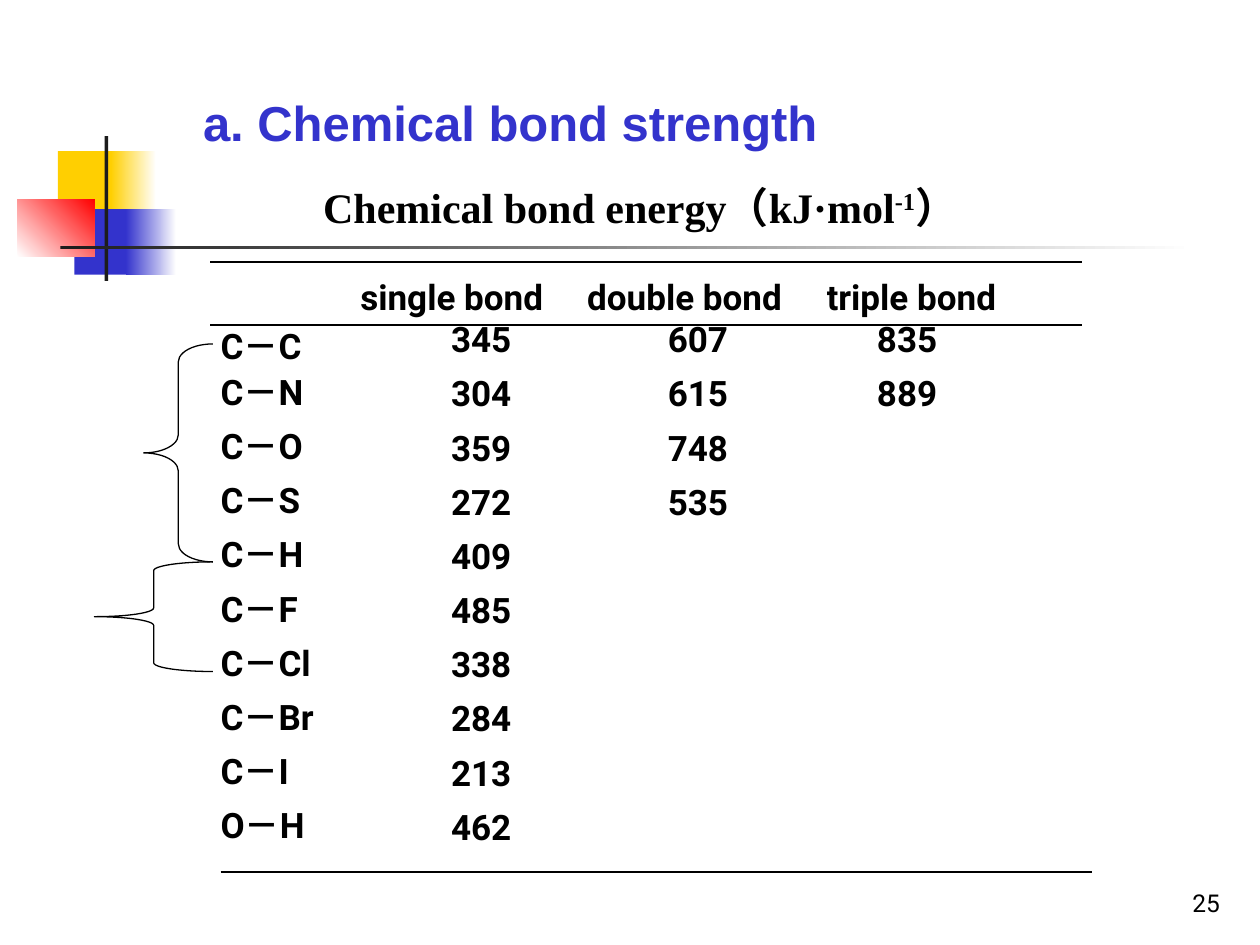
from dataclasses import dataclass
from typing import Optional

from lxml.etree import SubElement
from pptx import Presentation
from pptx.dml.color import RGBColor
from pptx.enum.shapes import MSO_CONNECTOR as Conn, MSO_SHAPE as Shape
from pptx.enum.text import MSO_ANCHOR as Anchor, PP_ALIGN as Align
from pptx.oxml.ns import qn
from pptx.util import Inches, Pt


@dataclass(frozen=True)
class Theme:
    black: str = "000000"
    dark: str = "1C1C1C"
    white: str = "FFFFFF"
    gold: str = "FFCF01"
    blue: str = "3333CC"
    red: str = "FF0000"
    title: int = 28
    head: int = 24
    body: int = 20
    page: int = 14


T = Theme()


@dataclass(frozen=True)
class Block:
    box: tuple
    color: str
    fade: Optional[str] = None
    angle: int = 0


@dataclass(frozen=True)
class Label:
    box: tuple
    runs: tuple
    font: dict
    align: Align = Align.CENTER
    anchor: Anchor = Anchor.TOP


@dataclass(frozen=True)
class Rule:
    left: float
    top: float
    width: float = 6.92


@dataclass(frozen=True)
class Brace:
    box: tuple
    curve: float


BLOCKS = (
    Block((0.46, 1.2, 0.48, 0.52), T.gold),
    Block((0.88, 1.2, 0.36, 0.52), T.gold, T.white),
    Block((0.59, 1.66, 0.46, 0.52), T.blue),
    Block((1, 1.66, 0.4, 0.52), T.blue, T.white),
    Block((0.14, 1.58, 0.61, 0.46), T.white, T.red, 45),
    Block((0.83, 1.08, 0.03, 1.15), T.dark),
    Block((0.48, 1.95, 9, 0.03), T.dark, T.white),
)

BODY = dict(name="Roboto", size=T.body, bold=True, color=T.black)

# Each run is its text and its baseline shift in percent.
LABELS = (
    Label((7.7, 6.83, 2.08, 0.5), (("25", 0),),
          dict(name="Roboto", size=T.page, bold=False, color=T.black),
          Align.RIGHT, Anchor.BOTTOM),
    Label((1.62, 1.39, 6.92, 0.5),
          (("Chemical bond energy（kJ·mol", 0), ("-1", 30), ("）", 0)),
          dict(name="Times New Roman", size=T.head, bold=True, color=T.black)),
    Label((1.12, 0.68, 5.86, 0.57), (("a. Chemical bond strength", 0),),
          dict(name="Arial", size=T.title, bold=True, color=T.blue),
          anchor=Anchor.MIDDLE),
)

RULES = Rule(1.67, 2.08), Rule(1.67, 2.58), Rule(1.75, 6.92)
BRACES = (Brace((1.14, 2.73, 0.55, 1.73), 0.26),
          Brace((0.75, 4.46, 0.94, 0.87), 0.08))

ROWS = (
    ("", "single bond", "double bond", "triple bond"),
    ("C－C", "345", "607", "835"),
    ("C－N", "304", "615", "889"),
    ("C－O", "359", "748"),
    ("C－S", "272", "535"),
    ("C－H", "409"),
    ("C－F", "485"),
    ("C－Cl", "338"),
    ("C－Br", "284"),
    ("C－I", "213"),
    ("O－H", "462"),
)
WIDTHS = 1.11, 1.8, 1.9, 2.02
INDENTS = 0, 0.72, 0.64, 0.4
TIGHT, LOOSE = 0.33, 0.43


def span(box: tuple) -> list:
    return [Inches(n) for n in box]


def style(font, form: dict) -> None:
    for key, val in form.items():
        if key == "color":
            font.color.rgb = RGBColor.from_string(val)
        else:
            setattr(font, key, Pt(val) if key == "size" else val)


def add_block(slide, item: Block) -> None:
    rect = slide.shapes.add_shape(Shape.RECTANGLE, *span(item.box))
    rect.shadow.inherit = False
    rect.line.fill.background()
    if item.fade is None:
        rect.fill.solid()
        rect.fill.fore_color.rgb = RGBColor.from_string(item.color)
        return
    rect.fill.gradient()
    rect.fill.gradient_angle = item.angle
    for stop, color in zip(rect.fill.gradient_stops, (item.color, item.fade)):
        stop.color.rgb = RGBColor.from_string(color)


def add_label(slide, item: Label) -> None:
    frame = slide.shapes.add_textbox(*span(item.box)).text_frame
    frame.word_wrap = True
    frame.vertical_anchor = item.anchor
    para = frame.paragraphs[0]
    para.alignment = item.align
    for text, shift in item.runs:
        run = para.add_run()
        run.text = text
        style(run.font, item.font)
        if shift:
            run.font._element.set("baseline", str(shift * 1000))


def add_grid(slide) -> None:
    """Add the table of bond energies, with values set in from their heads."""
    tall = [TIGHT, TIGHT] + [LOOSE] * (len(ROWS) - 2)
    box = (1.75, 2.2, sum(WIDTHS), sum(tall))
    grid = slide.shapes.add_table(len(ROWS), len(WIDTHS), *span(box)).table
    grid.first_row = grid.horz_banding = False
    for col, width in zip(grid.columns, WIDTHS):
        col.width = Inches(width)
    for r, (row, height) in enumerate(zip(ROWS, tall)):
        grid.rows[r].height = Inches(height)
        for c, indent in enumerate(INDENTS):
            cell = grid.cell(r, c)
            form = dict(margin_left=Inches(indent if r else 0), margin_right=0,
                        margin_top=0, margin_bottom=0,
                        vertical_anchor=Anchor.BOTTOM)
            for key, val in form.items():
                setattr(cell, key, val)
            cell.fill.background()
            cell.text = row[c] if c < len(row) else ""
            style(cell.text_frame.paragraphs[0].font, BODY)


def add_rule(slide, item: Rule) -> None:
    ends = (item.left, item.top, item.left + item.width, item.top)
    line = slide.shapes.add_connector(Conn.STRAIGHT, *span(ends))
    line.line.width = Pt(1)
    line.line.color.rgb = RGBColor.from_string(T.black)
    SubElement(line._element.spPr, qn("a:effectLst"))


def add_brace(slide, item: Brace) -> None:
    brace = slide.shapes.add_shape(Shape.LEFT_BRACE, *span(item.box))
    brace.adjustments[0] = item.curve
    brace.shadow.inherit = False
    brace.fill.background()
    brace.line.width = Pt(0.75)
    brace.line.color.rgb = RGBColor.from_string(T.black)


def main() -> None:
    deck = Presentation()
    deck.slide_width, deck.slide_height = Inches(10), Inches(7.5)
    slide = deck.slides.add_slide(deck.slide_layouts[6])
    for item in BLOCKS:
        add_block(slide, item)
    for item in LABELS:
        add_label(slide, item)
    add_grid(slide)
    for item in RULES:
        add_rule(slide, item)
    for item in BRACES:
        add_brace(slide, item)
    deck.save("out.pptx")


if __name__ == "__main__":
    main()
